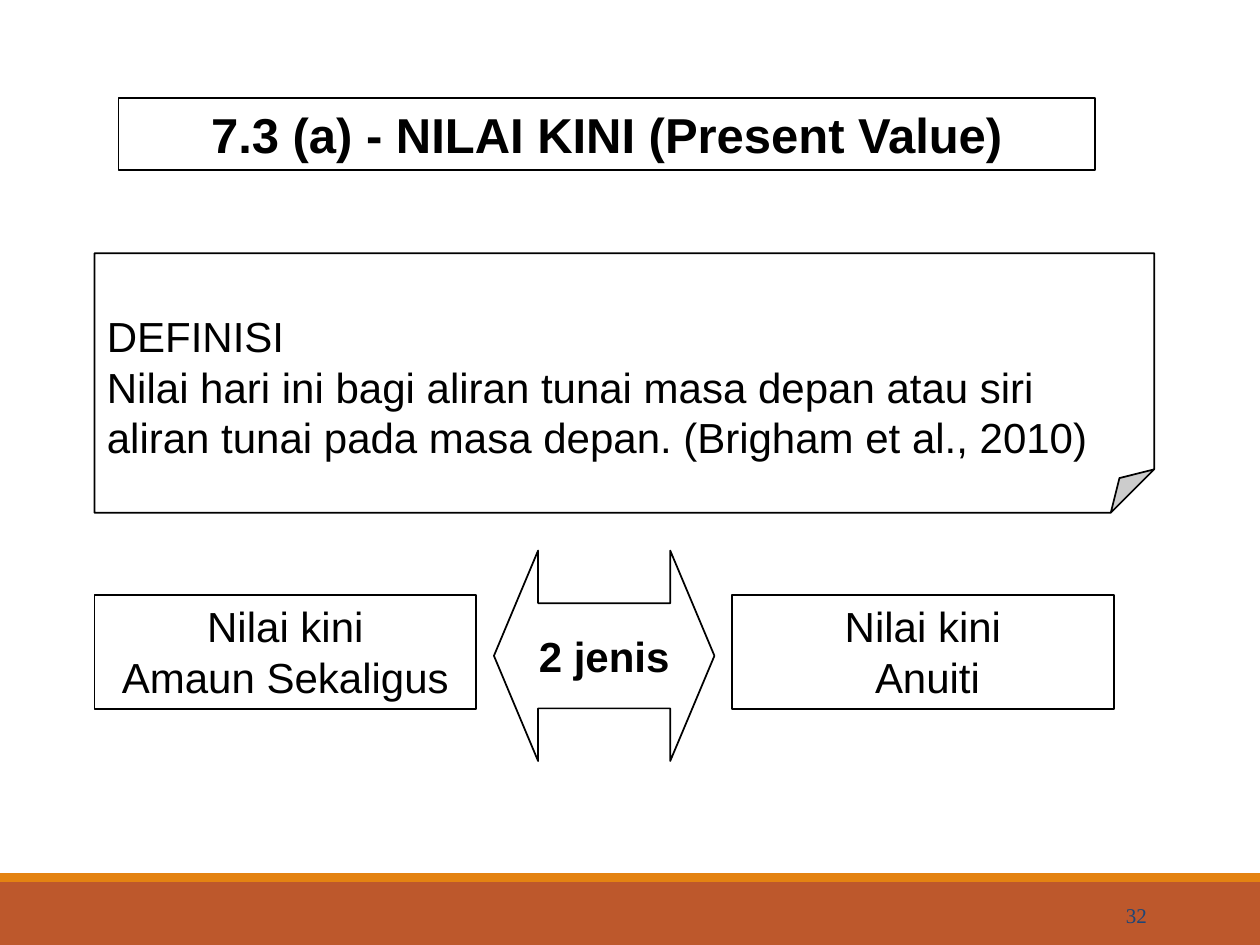
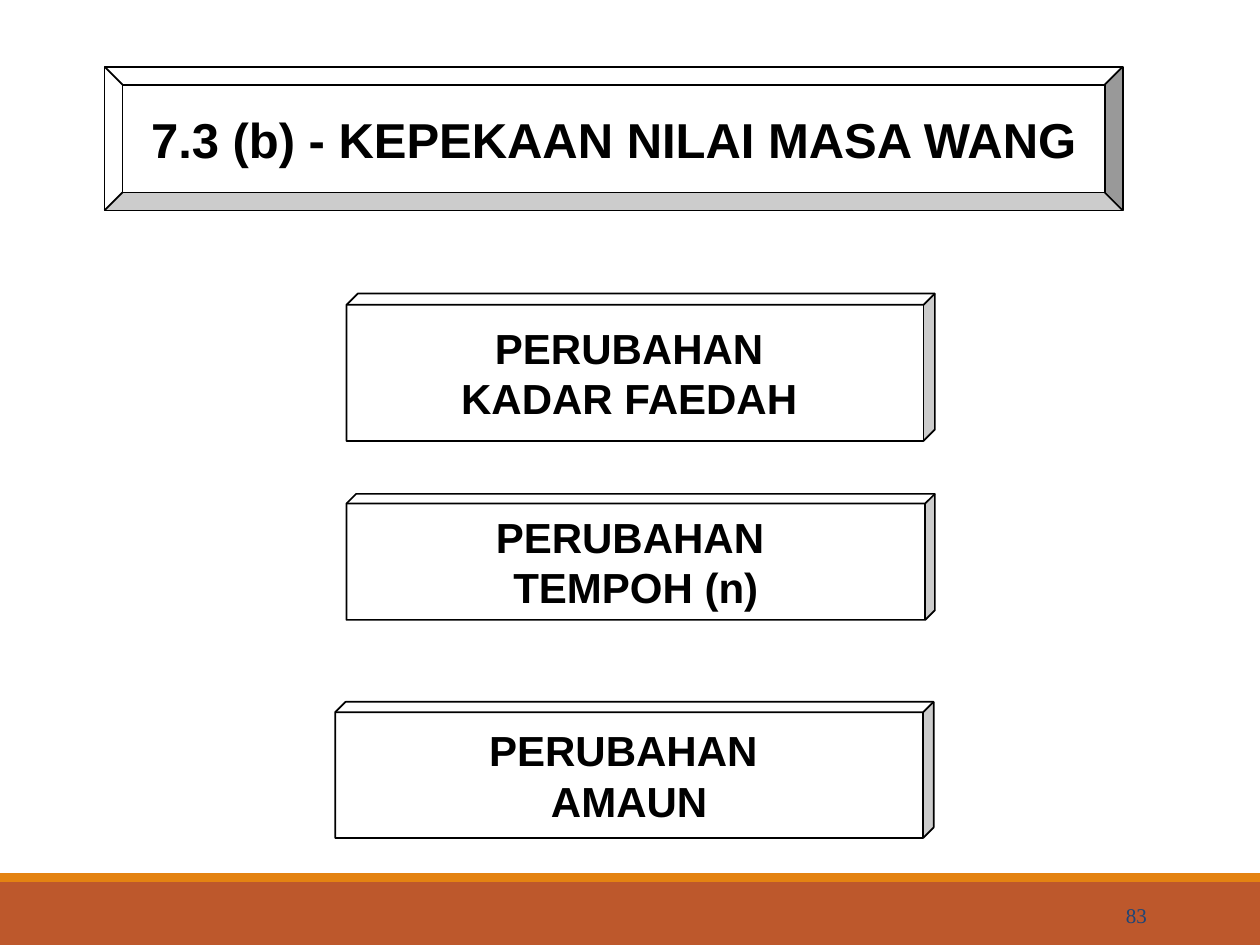
"""Build two slides on present value and the sensitivity of the time value of money."""
import pptx
import pptx.dml.color
import pptx.enum.shapes
import pptx.enum.text
import pptx.oxml.ns
import pptx.util
import lxml.etree

Inches = pptx.util.Inches
RGBColor = pptx.dml.color.RGBColor
SHAPE = pptx.enum.shapes.MSO_SHAPE
ALIGN = pptx.enum.text.PP_ALIGN
ANCHOR = pptx.enum.text.MSO_ANCHOR
qn = pptx.oxml.ns.qn

BLACK = RGBColor(0x00, 0x00, 0x00)
WHITE = RGBColor(0xFF, 0xFF, 0xFF)
RUST = RGBColor(0xBD, 0x58, 0x2C)
ORANGE = RGBColor(0xE4, 0x83, 0x12)
NAVY = RGBColor(0x1D, 0x45, 0x77)

BANDS = [(RUST, 7, 0.5), (ORANGE, 6.93, 0.07)]
BODY = {"name": "Arial", "size": pptx.util.Pt(24), "bold": False, "color": BLACK}
STRONG = {**BODY, "bold": True}
TITLE = {**STRONG, "size": pptx.util.Pt(28)}
NUMBER = {**BODY, "name": "Times New Roman", "size": pptx.util.Pt(12), "color": NAVY}

TYPE_BOX = {"kind": SHAPE.RECTANGLE, "anchor": ANCHOR.TOP}
CUBE = {"kind": SHAPE.CUBE, "adj": {"adj": 0.077}, "font": STRONG}

SLIDES = [
    {"number": "32", "boxes": [
        {"kind": SHAPE.RECTANGLE, "at": (0.94, 0.78, 7.75, 0.57), "font": TITLE, "anchor": ANCHOR.TOP,
         "lines": ["7.3 (a) - NILAI KINI (Present Value)"]},
        {**TYPE_BOX, "at": (0.75, 4.72, 3.03, 0.91), "lines": ["Nilai kini", "Amaun Sekaligus"]},
        {"kind": SHAPE.LEFT_RIGHT_ARROW, "at": (3.92, 4.37, 1.75, 1.67),
         "adj": {"adj1": 0.5, "adj2": 0.21}, "font": STRONG, "lines": ["2 jenis"]},
        {**TYPE_BOX, "at": (5.81, 4.72, 3.03, 0.91), "lines": ["Nilai kini", " Anuiti"]},
        {"kind": SHAPE.FOLDED_CORNER, "at": (0.75, 2.01, 8.41, 2.06), "adj": {"adj": 0.167},
         "align": ALIGN.LEFT, "top": 0.45,
         "lines": ["DEFINISI",
                   "Nilai hari ini bagi aliran tunai masa depan atau siri "
                   "aliran tunai pada masa depan. (Brigham et al., 2010)"]},
    ]},
    {"number": "83", "boxes": [
        {"kind": SHAPE.BEVEL, "at": (0.83, 0.53, 8.08, 1.14), "adj": {"adj": 0.125}, "font": TITLE,
         "lines": ["7.3 (b) - KEPEKAAN NILAI MASA WANG"]},
        {**CUBE, "at": (2.75, 2.33, 4.67, 1.17), "lines": ["PERUBAHAN ", "KADAR FAEDAH "]},
        {**CUBE, "at": (2.75, 3.92, 4.67, 1), "lines": ["PERUBAHAN ", "TEMPOH (n)"]},
        {**CUBE, "at": (2.66, 5.57, 4.75, 1.08), "lines": ["PERUBAHAN ", "AMAUN"]},
    ]},
]


def write(sp, lines, font=BODY, align=ALIGN.CENTER, anchor=ANCHOR.MIDDLE, top=0.05):
    tf = sp.text_frame
    frame = {"word_wrap": True, "vertical_anchor": anchor,
             "margin_left": Inches(0.1), "margin_right": Inches(0.1),
             "margin_top": Inches(top), "margin_bottom": Inches(0.05)}
    for key, value in frame.items():
        setattr(tf, key, value)
    for i, line in enumerate(lines):
        p = tf.add_paragraph() if i else tf.paragraphs[0]
        p.alignment = align
        r = p.add_run()
        r.text = line
        for key, value in font.items():
            if key == "color":
                r.font.color.rgb = value
            else:
                setattr(r.font, key, value)


def set_guides(sp, adj):
    geometry = sp._element.spPr.find(qn("a:prstGeom"))
    for old in geometry.findall(qn("a:avLst")):
        geometry.remove(old)
    guides = lxml.etree.SubElement(geometry, qn("a:avLst"))
    for name, value in adj.items():
        lxml.etree.SubElement(guides, qn("a:gd"), name=name, fmla=f"val {round(value * 100000)}")


def add_shape(s, kind, at, fill):
    sp = s.shapes.add_shape(kind, *map(Inches, at))
    sp.shadow.inherit = False
    sp.fill.solid()
    sp.fill.fore_color.rgb = fill
    return sp


def add_box(s, kind, at, lines, adj=None, **text_format):
    sp = add_shape(s, kind, at, WHITE)
    if adj:
        set_guides(sp, adj)
    sp.line.color.rgb = BLACK
    sp.line.width = pptx.util.Pt(1)
    write(sp, lines, **text_format)


def add_footer(s, number):
    for color, top, height in BANDS:
        add_shape(s, SHAPE.RECTANGLE, (0, top, 10, height), color).line.fill.background()
    sp = s.shapes.add_textbox(*map(Inches, (8.12, 7.06, 1.08, 0.4)))
    write(sp, [number], font=NUMBER, align=ALIGN.RIGHT)


def main():
    prs = pptx.Presentation()
    prs.slide_width, prs.slide_height = Inches(10), Inches(7.5)
    for content in SLIDES:
        s = prs.slides.add_slide(prs.slide_layouts[6])
        add_footer(s, content["number"])
        for box in content["boxes"]:
            add_box(s, **box)
    prs.save("out.pptx")


if __name__ == "__main__":
    main()
